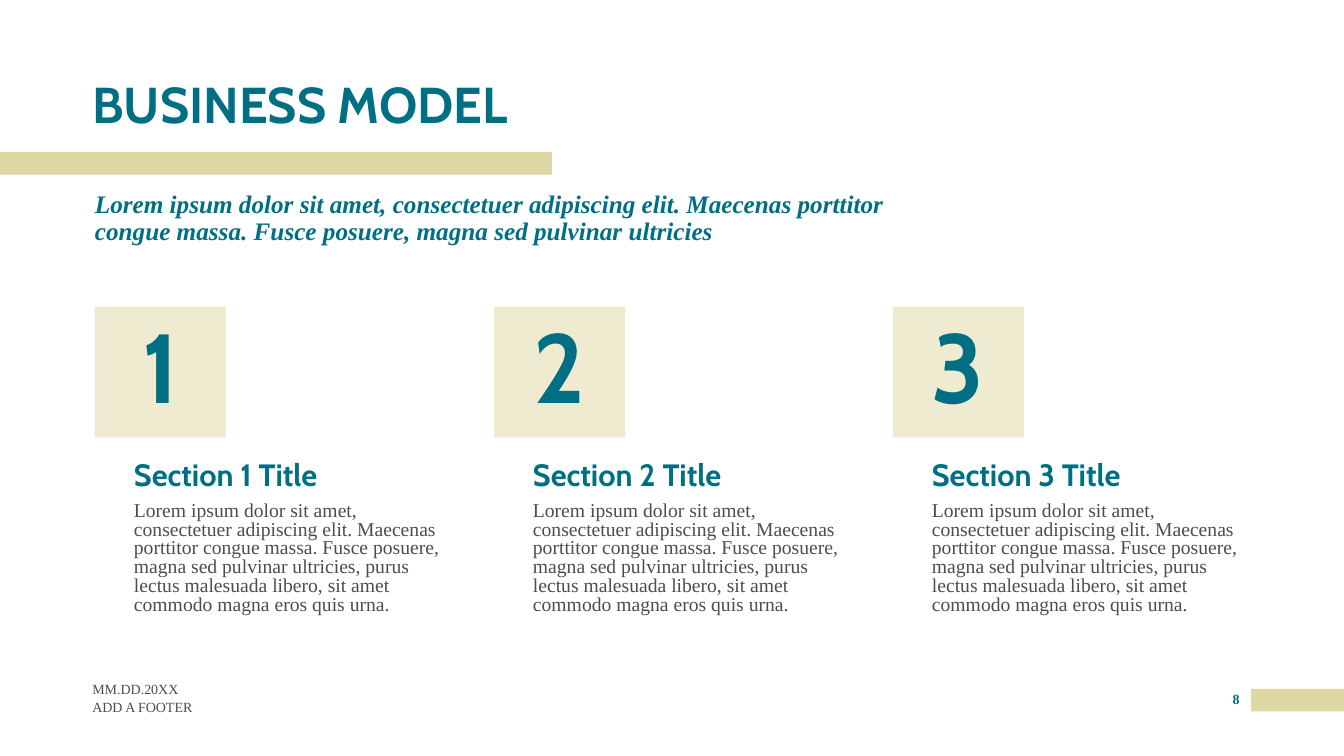
from dataclasses import dataclass
from typing import Optional

import lxml.etree
import pptx
import pptx.dml.color
import pptx.enum.shapes
import pptx.enum.text
import pptx.oxml.ns
import pptx.util

COLUMNS, ROWS = 160, 90
CELL = pptx.util.Inches(1 / 12)
COLORS = {"teal": "006F83", "sand": "DED8A4", "gray": "4D4D4D"}
HEADING_FONT, BODY_FONT = "Cabin", "Times New Roman"
ALIGN = pptx.enum.text.PP_ALIGN
ANCHOR = pptx.enum.text.MSO_ANCHOR

SECTION_COUNT = 3
SECTION_LEFT, SECTION_PITCH = 11.3, 47.5
SECTION_INDENT = 4.65
SECTION_TEXT = (
    "Lorem ipsum dolor sit amet, consectetuer adipiscing elit. "
    "Maecenas porttitor congue massa. Fusce posuere, magna sed pulvinar ultricies, "
    "purus lectus malesuada libero, sit amet commodo magna eros quis urna."
)


@dataclass(frozen=True)
class Area:
    column: float
    row: float
    columns: float
    rows: float

    def box(self) -> tuple[int, ...]:
        return tuple(round(n * CELL) for n in (self.column, self.row, self.columns, self.rows))


@dataclass(frozen=True)
class Style:
    size: float
    font: str = BODY_FONT
    color: str = "teal"
    bold: bool = False
    italic: bool = False
    align: ALIGN = ALIGN.LEFT
    anchor: ANCHOR = ANCHOR.TOP
    line_spacing: float = 1.0
    space_before: float = 0


@dataclass(frozen=True)
class Label:
    area: Area
    text: str
    style: Style


TITLE = Style(36, HEADING_FONT, bold=True, anchor=ANCHOR.BOTTOM, line_spacing=0.9)
LEAD = Style(18, bold=True, italic=True, line_spacing=0.9, space_before=10)
NUMBER = Style(70, HEADING_FONT, bold=True, align=ALIGN.CENTER, anchor=ANCHOR.MIDDLE,
               line_spacing=0.9, space_before=10)
SECTION_TITLE = Style(22, HEADING_FONT, bold=True, anchor=ANCHOR.BOTTOM,
                      line_spacing=0.9, space_before=10)
SECTION_BODY = Style(14, color="gray", line_spacing=0.8, space_before=6)
DATE = Style(10, color="gray", anchor=ANCHOR.BOTTOM)
FOOTER = Style(10, color="gray")
PAGE = Style(10, bold=True, align=ALIGN.CENTER)

BARS = [Area(148.95, 82, 11.05, 2.7), Area(0, 18.1, 65.7, 2.7)]
LABELS = [
    Label(Area(11, 8.2, 102.4, 7.8), "BUSINESS MODEL", TITLE),
    Label(Area(11.3, 22.8, 102.4, 12.4),
          "Lorem ipsum dolor sit amet, consectetuer adipiscing elit. "
          "Maecenas porttitor congue massa. Fusce posuere, magna sed pulvinar ultricies", LEAD),
    Label(Area(11, 80, 36, 3), "MM.DD.20XX", DATE),
    Label(Area(11, 83.1, 36, 3), "ADD A FOOTER", FOOTER),
    Label(Area(145.4, 82.2, 3.5, 3), "8", PAGE),
]


def rgb(name: str) -> pptx.dml.color.RGBColor:
    return pptx.dml.color.RGBColor.from_string(COLORS[name])


def write(frame: pptx.text.text.TextFrame, text: str, style: Style) -> None:
    frame.word_wrap = True
    frame.margin_left = frame.margin_right = frame.margin_top = frame.margin_bottom = 0
    frame.vertical_anchor = style.anchor
    paragraph = frame.paragraphs[0]
    paragraph.alignment = style.align
    paragraph.line_spacing = style.line_spacing
    paragraph.space_before = pptx.util.Pt(style.space_before)
    run = paragraph.add_run()
    run.text = text
    run.font.name = style.font
    run.font.size = pptx.util.Pt(style.size)
    run.font.bold = style.bold
    run.font.italic = style.italic
    run.font.color.rgb = rgb(style.color)


def add_label(slide: pptx.slide.Slide, label: Label) -> None:
    write(slide.shapes.add_textbox(*label.area.box()).text_frame, label.text, label.style)


def add_block(slide: pptx.slide.Slide, area: Area,
              opacity: Optional[int] = None) -> pptx.shapes.autoshape.Shape:
    block = slide.shapes.add_shape(pptx.enum.shapes.MSO_SHAPE.RECTANGLE, *area.box())
    block.shadow.inherit = False
    block.line.fill.background()
    block.fill.solid()
    block.fill.fore_color.rgb = rgb("sand")
    if opacity is not None:
        qn = pptx.oxml.ns.qn
        tint = block.element.spPr.find(qn("a:solidFill")).find(qn("a:srgbClr"))
        lxml.etree.SubElement(tint, qn("a:alpha"), val=str(opacity * 1000))
    return block


def add_section(slide: pptx.slide.Slide, index: int) -> None:
    left = SECTION_LEFT + index * SECTION_PITCH
    text_left = left + SECTION_INDENT
    number = str(index + 1)
    tile = add_block(slide, Area(left, 36.5, 15.6, 15.6), opacity=50)
    write(tile.text_frame, number, NUMBER)
    add_label(slide, Label(Area(text_left, 52.6, 38.4, 6.1),
                           f"Section {number} Title", SECTION_TITLE))
    add_label(slide, Label(Area(text_left, 59.8, 38.4, 14.9), SECTION_TEXT, SECTION_BODY))


def main() -> None:
    deck = pptx.Presentation()
    deck.slide_width = COLUMNS * CELL
    deck.slide_height = ROWS * CELL
    slide = deck.slides.add_slide(deck.slide_layouts[6])
    for bar in BARS:
        add_block(slide, bar)
    for label in LABELS:
        add_label(slide, label)
    for index in range(SECTION_COUNT):
        add_section(slide, index)
    deck.save("out.pptx")


if __name__ == "__main__":
    main()
